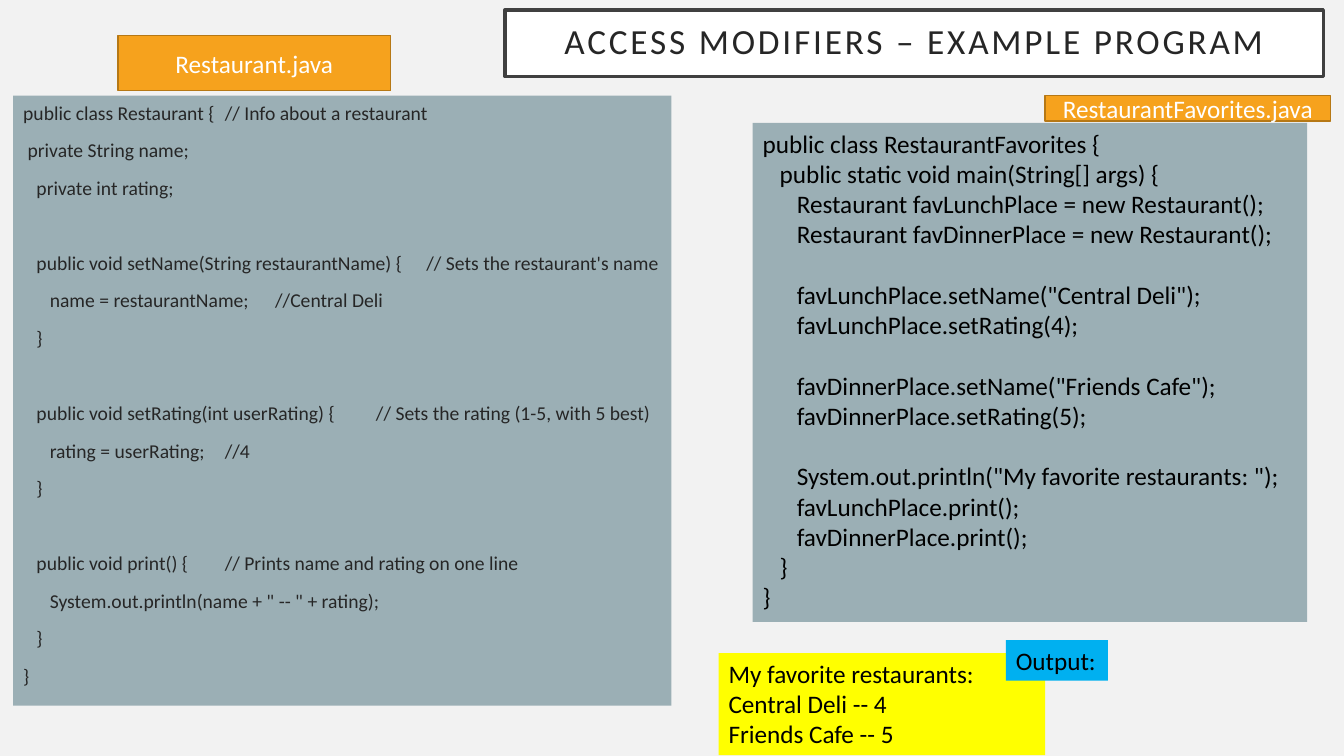
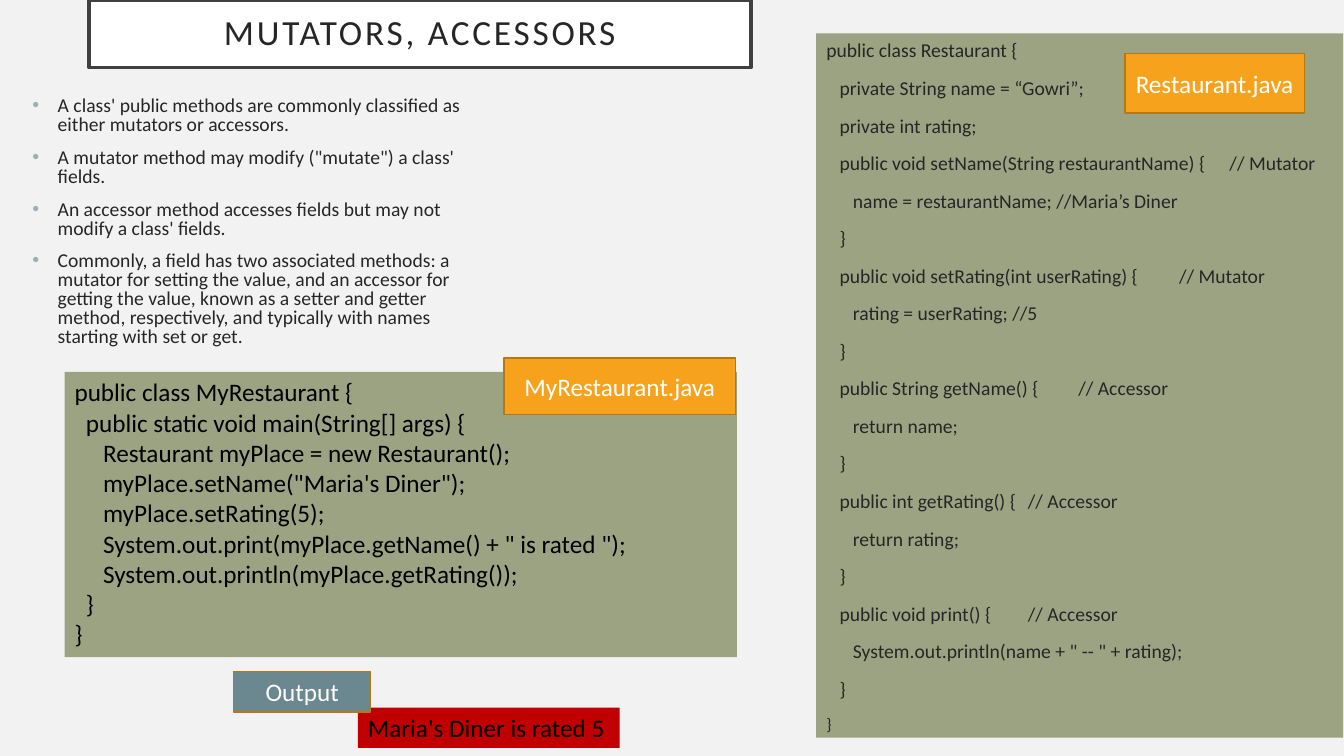
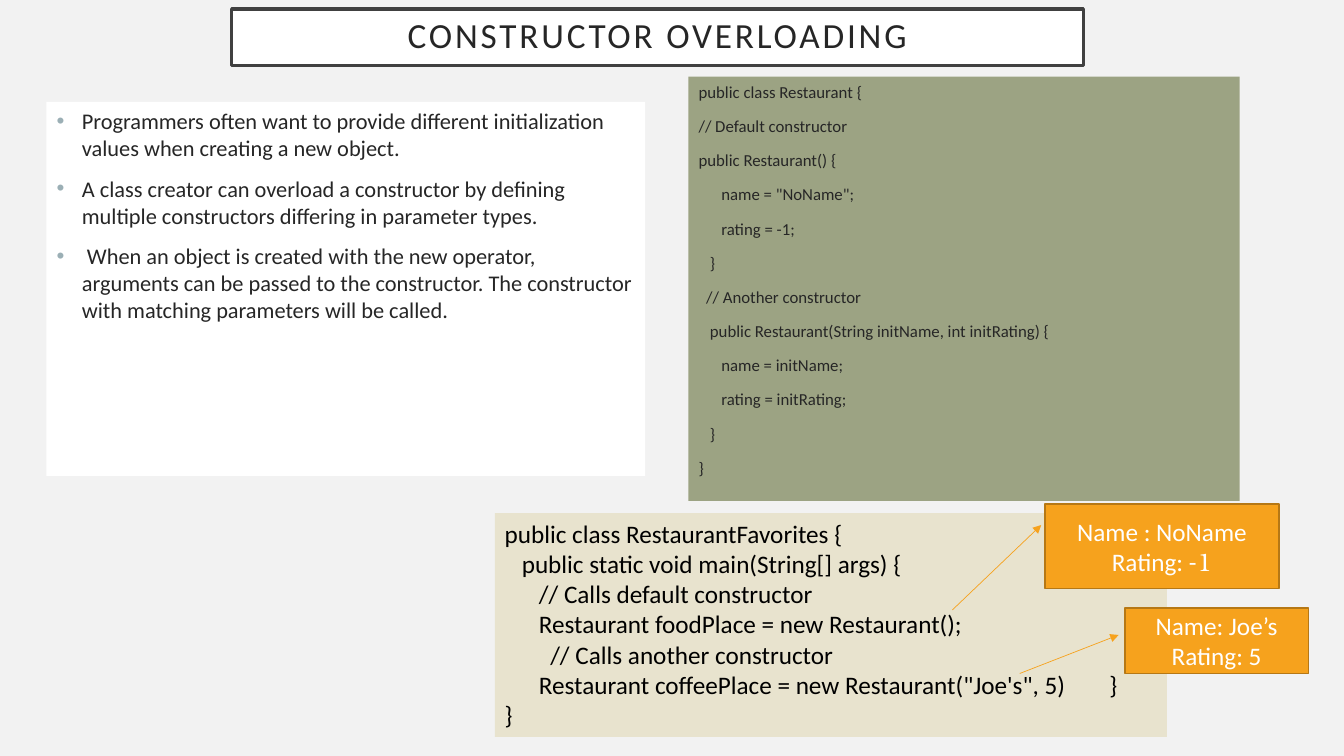
from dataclasses import dataclass
from lxml.etree import SubElement as Sub
from pptx import Presentation
from pptx.dml.color import RGBColor as Rgb
from pptx.enum.shapes import MSO_CONNECTOR as Link, MSO_SHAPE as Form
from pptx.enum.text import MSO_ANCHOR as Anchor, MSO_AUTO_SIZE as Fit, PP_ALIGN as Align
from pptx.oxml.ns import qn
from pptx.util import Cm, Pt


@dataclass(frozen=True)
class Theme:
    page: str = "F2F2F2"
    white: str = "FFFFFF"
    black: str = "000000"
    ink: str = "262626"
    frame: str = "404040"
    slate: str = "9BAFB5"
    teal: str = "6B8891"
    sage: str = "9CA383"
    sand: str = "E8E3CE"
    amber: str = "F6A21D"
    rust: str = "B67815"
    yellow: str = "FFFF00"
    sky: str = "00B0F0"
    red: str = "C00000"
    font: str = "Calibri"
    serif: str = "TeX Gyre Bonum"
    head: float = 25.2
    large: int = 18
    mid: int = 16
    body: int = 14
    small: int = 12
    gap: int = 10          # space before each body line
    space: float = 0.226   # width of a space, in ems
    pitch: float = 1.2     # height of a line, in ems


T = Theme()

# Content: boxes are (left, top, width, height) in cm.
# Code lines: a string, or (code, tab stop in cm, text after the tab).
INFO = [
    ("public class Restaurant {", 7.72, "// Info about a restaurant"),
    " private String name;",
    "   private int rating;",
    "",
    ("   public void setName(String restaurantName) {", 10, "// Sets the restaurant's name"),
    ("      name = restaurantName;", 6.02, "//Central Deli"),
    "   }",
    "",
    ("   public void setRating(int userRating) {", 8.86, "// Sets the rating (1-5, with 5 best)"),
    ("      rating = userRating;", 4.9, "//4"),
    "   }",
    "",
    ("   public void print() {", 7.17, "// Prints name and rating on one line"),
    '      System.out.println(name + " -- " + rating);',
    "   }",
    "}",
]
FAVORITES = [
    "public class RestaurantFavorites {",
    "   public static void main(String[] args) {",
    "      Restaurant favLunchPlace = new Restaurant();",
    "      Restaurant favDinnerPlace = new Restaurant();",
    "",
    '      favLunchPlace.setName("Central Deli");',
    "      favLunchPlace.setRating(4);",
    "",
    '      favDinnerPlace.setName("Friends Cafe");',
    "      favDinnerPlace.setRating(5);",
    "",
    '      System.out.println("My favorite restaurants: ");',
    "      favLunchPlace.print();",
    "      favDinnerPlace.print();",
    "   }",
    "}",
]
ACCESS = [
    "public class Restaurant {",
    "   private String name = “Gowri”;",
    "   private int rating;",
    ("   public void setName(String restaurantName) {", 9.75, "// Mutator"),
    "      name = restaurantName; //Maria’s Diner",
    "   }",
    ("   public void setRating(int userRating) {", 8.64, "// Mutator"),
    "      rating = userRating; //5",
    "   }",
    ("   public String getName() {", 5.57, "// Accessor"),
    "      return name;",
    "   }",
    ("   public int getRating() {", 4.96, "// Accessor"),
    "      return rating;",
    "   }",
    ("   public void print() {", 4.81, "// Accessor"),
    '      System.out.println(name + " -- " + rating);',
    "   }",
    "}",
]
MINE = [
    "public class MyRestaurant {",
    "  public static void main(String[] args) {",
    "     Restaurant myPlace = new Restaurant();",
    '     myPlace.setName("Maria\'s Diner");',
    "     myPlace.setRating(5);",
    '     System.out.print(myPlace.getName() + " is rated ");',
    "     System.out.println(myPlace.getRating());",
    "  }",
    "}",
]
BUILD = [
    "public class Restaurant {",
    "// Default constructor",
    "public Restaurant() {",
    '      name = "NoName";',
    "      rating = -1;",
    "   }",
    "  // Another constructor",
    "   public Restaurant(String initName, int initRating) {",
    "      name = initName;",
    "      rating = initRating;",
    "   }",
    "}",
]
CALLS = [
    "public class RestaurantFavorites {",
    "   public static void main(String[] args) {",
    "      // Calls default constructor",
    "      Restaurant foodPlace = new Restaurant();",
    "        // Calls another constructor",
    ('      Restaurant coffeePlace = new Restaurant("Joe\'s", 5)', 14.58, "}"),
    "}",
]
ROLES = [
    "A class' public methods are commonly classified as either mutators or accessors.",
    "A mutator method may modify (\"mutate\") a class' fields.",
    "An accessor method accesses fields but may not modify a class' fields.",
    "Commonly, a field has two associated methods: a mutator for setting the value, "
    "and an accessor for getting the value, known as a setter and getter method, "
    "respectively, and typically with names starting with set or get.",
]
OVERLOAD = [
    "Programmers often want to provide different initialization values when creating a new object.",
    "A class creator can overload a constructor by defining multiple constructors "
    "differing in parameter types.",
    " When an object is created with the new operator, arguments can be passed to the "
    "constructor. The constructor with matching parameters will be called.",
]

# code: (lines, box, fill, size, size of last line); list: (lines, box, fill, size, line spacing)
# parts, back to front: (kind, lines, box, fill)
SLIDES = [
    dict(
        title=("ACCESS MODIFIERS – EXAMPLE PROGRAM", (12.73, 0.25, 20.62, 1.68)),
        code=(INFO, (0.33, 2.41, 16.59, 15.37), T.slate, T.body, T.body),
        parts=[
            ("label", ["Restaurant.java"], (2.97, 0.89, 6.88, 1.4), T.amber),
            ("panel", FAVORITES, (18.97, 3.1, 13.97, 12.57), T.slate),
            ("label", ["RestaurantFavorites.java"], (26.34, 2.41, 7.19, 0.64), T.amber),
            ("panel", ["My favorite restaurants:", "Central Deli -- 4", "Friends Cafe -- 5"],
             (18.11, 16.46, 8.23, 2.57), T.yellow),
            ("panel", ["Output:"], (25.35, 16.13, 2.57, 1.02), T.sky),
        ],
    ),
    dict(
        title=("MUTATORS, ACCESSORS", (2.24, 0, 16.69, 1.7)),
        code=(ACCESS, (20.57, 0.84, 13.28, 17.75), T.sage, T.body, T.small),
        list=(ROLES, (0.56, 2.34, 12.14, 8.1), None, T.body, 0.8),
        parts=[
            ("label", ["Restaurant.java"], (28.35, 1.35, 4.52, 1.5), T.amber),
            ("panel", MINE, (1.63, 9.37, 16.94, 7.19), T.sage),
            ("label", ["MyRestaurant.java"], (12.7, 9.02, 5.84, 1.42), T.amber),
            ("panel", ["Maria's Diner is rated 5"], (9.02, 17.83, 6.6, 1.02), T.red),
            ("label", ["Output"], (5.89, 16.92, 3.45, 1.02), T.teal),
        ],
    ),
    dict(
        title=("CONSTRUCTOR OVERLOADING", (5.84, 0.23, 21.46, 1.42)),
        code=(BUILD, (17.35, 1.93, 13.89, 10.69), T.sage, T.small, T.small),
        list=(OVERLOAD, (1.17, 2.57, 15.09, 9.42), T.white, T.mid, 1.0),
        parts=[
            ("panel", CALLS, (12.47, 12.93, 16.94, 5.64), T.sand),
            ("label", ["Name : NoName", ("Rating: -", "1")], (26.34, 12.7, 5.89, 2.13), T.amber),
            ("label", ["Name: Joe’s", "Rating: 5"], (28.35, 15.32, 4.62, 1.65), T.amber),
        ],
        arrows=[(24, 15.37, 26.24, 13.23), (25.7, 16.97, 28.19, 16)],
    ),
]


# Shared helpers
def paint(part, fill, edge=None, width=1):
    if fill:
        part.fill.solid()
        part.fill.fore_color.rgb = Rgb.from_string(fill)
    if edge:
        part.line.color.rgb = Rgb.from_string(edge)
        part.line.width = Pt(width)


def place(part, box):
    part.left, part.top, part.width, part.height = map(Cm, box)


def ink(para, size, color):
    # Runs carry the font too, for viewers that skip paragraph defaults
    for item in (para, *para.runs):
        item.font.name, item.font.size = T.font, Pt(size)
        item.font.color.rgb = Rgb.from_string(color)


def paras(frame, lines):
    for i, line in enumerate(lines):
        yield (frame.add_paragraph() if i else frame.paragraphs[0]), line


def set_code(frame, lines, size, color, gap=0, last=None):
    """Leading spaces become indents, empty lines become space before."""
    rows, skip = [], 0
    for line in lines:
        if not line:
            skip += 1
            continue
        rows.append((line if isinstance(line, tuple) else (line, None, ""), skip))
        skip = 0
    for para, ((code, stop, rest), skip) in paras(frame, rows):
        text = code.lstrip()
        para.text = f"{text}\t{rest}" if stop else text
        para.space_before = Pt(gap + skip * (gap + size * T.pitch))
        prop = para._p.get_or_add_pPr()
        prop.set("marL", "0")
        prop.set("indent", str(Pt((len(code) - len(text)) * size * T.space)))
        Sub(prop, qn("a:buNone"))
        if stop:
            tabs = Sub(prop, qn("a:tabLst"))
            Sub(tabs, qn("a:tab"), pos=str(Cm(stop)), algn="l")
        ink(para, size, color)
    if last:
        ink(para, last, color)


def set_list(frame, lines, size, lead):
    for para, line in paras(frame, lines):
        para.text = line
        para.space_before, para.line_spacing = Pt(T.gap), lead
        prop = para._p.get_or_add_pPr()
        prop.set("marL", str(Cm(0.64)))
        prop.set("indent", str(Cm(-0.64)))
        Sub(Sub(prop, qn("a:buClr")), qn("a:srgbClr"), val=T.slate)
        Sub(prop, qn("a:buFont"), typeface="Arial")
        Sub(prop, qn("a:buChar"), char="•")
        ink(para, size, T.ink)


def set_title(part, text, box):
    place(part, box)
    paint(part, T.white, T.frame, 2.5)
    frame = part.text_frame
    frame.text, frame.auto_size = text, Fit.NONE
    frame.vertical_anchor = Anchor.MIDDLE
    frame.margin_left = frame.margin_right = Cm(0.5)
    frame.margin_top = frame.margin_bottom = Cm(0.5)
    para = frame.paragraphs[0]
    para.alignment, para.line_spacing = Align.CENTER, 0.9
    ink(para, T.head, T.ink)
    para.runs[0].font._element.set("spc", "200")


def open_body(part, box, fill):
    place(part, box)
    paint(part, fill)
    part.text_frame.auto_size = Fit.NONE
    part.text_frame.vertical_anchor = Anchor.TOP
    return part.text_frame


def add_panel(slide, lines, box, fill):
    part = slide.shapes.add_textbox(*map(Cm, box))
    paint(part, fill)
    part.text_frame.word_wrap = len(lines) > 1
    part.text_frame.auto_size = Fit.SHAPE_TO_FIT_TEXT
    set_code(part.text_frame, lines, T.large, T.black)


def add_label(slide, lines, box, fill):
    part = slide.shapes.add_shape(Form.RECTANGLE, *map(Cm, box))
    part.shadow.inherit = False
    paint(part, fill, T.rust)
    part.text_frame.vertical_anchor = Anchor.MIDDLE
    for para, line in paras(part.text_frame, lines):
        runs = line if isinstance(line, tuple) else (line,)
        for text in runs:
            para.add_run().text = text
        para.alignment = Align.CENTER
        ink(para, T.large, T.white)
        for run in para.runs[1:]:
            run.font.name = T.serif


def add_arrow(slide, ends):
    line = slide.shapes.add_connector(Link.STRAIGHT, *map(Cm, ends))
    line.line.color.rgb = Rgb.from_string(T.amber)
    line.line.width = Pt(0.5)
    prop = line._element.spPr
    Sub(prop.find(qn("a:ln")), qn("a:tailEnd"), type="triangle")
    Sub(prop, qn("a:effectLst"))


def main():
    deck = Presentation()
    deck.slide_width, deck.slide_height = Cm(33.87), Cm(19.05)
    paint(deck.slide_master.background, T.page)
    add = dict(panel=add_panel, label=add_label)
    for data in SLIDES:
        # Layout 3 has two bodies, layout 1 has one
        slide = deck.slides.add_slide(deck.slide_layouts[3 if "list" in data else 1])
        holds = slide.placeholders
        set_title(slide.shapes.title, *data["title"])
        lines, box, fill, size, last = data["code"]
        set_code(open_body(holds[1], box, fill), lines, size, T.ink, T.gap, last)
        if "list" in data:
            lines, box, fill, size, lead = data["list"]
            set_list(open_body(holds[2], box, fill), lines, size, lead)
        for kind, *rest in data["parts"]:
            add[kind](slide, *rest)
        for ends in data.get("arrows", []):
            add_arrow(slide, ends)
    deck.save("out.pptx")


if __name__ == "__main__":
    main()
